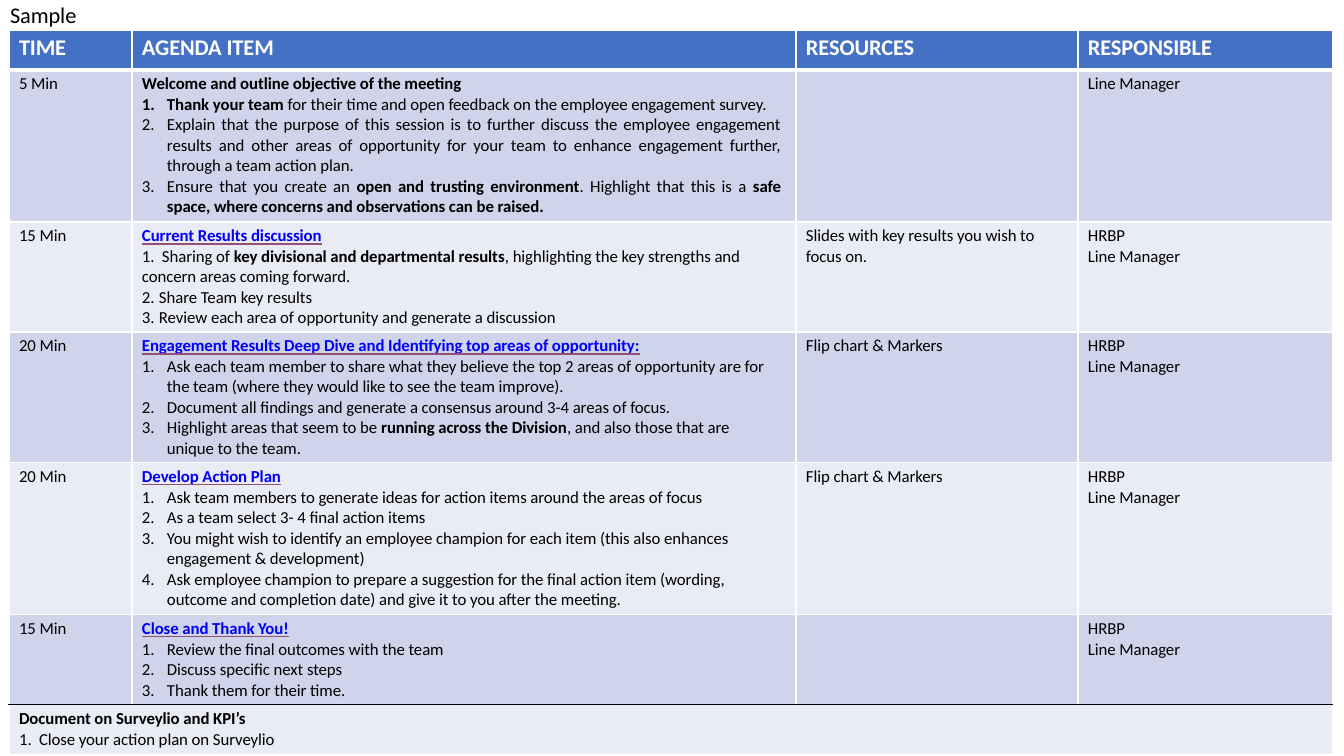
from lxml.etree import SubElement
from pptx import Presentation
from pptx.dml.color import RGBColor
from pptx.enum.text import MSO_ANCHOR, MSO_AUTO_SIZE, PP_ALIGN
from pptx.oxml.ns import qn
from pptx.util import Pt

PX = 9071.43
FONT = "Calibri"
TITLE = "Sample"
COLUMNS = [123, 664, 282, 255]
ROW_HEIGHTS = [40, 152, 110, 131, 152, 90, 50]
BLUE, DARK_BAND, LIGHT_BAND = "4471C4", "CFD4EA", "E9EBF5"
BLACK, WHITE, LINK, LINK_LINE = "000000", "FFFFFF", "0000FF", "954F72"

INDENTS = {
    "plain": (10, 0, 10),
    "link": (10, 0, 10),
    "lead": (10, 0, 15),
    "justified": (35, -25, 15),
    "list": (35, -25, 10),
    "short": (35, -25, 50),
    "tight": (30, -20, 10),
    "near": (27, -17, 10),
    "more": (35, 0, 10),
}
NUMBERED = ("justified", "list", "short", "tight", "near")

HEADER = ["TIME", "AGENDA ITEM", "RESOURCES", "RESPONSIBLE"]
PARTNERS = ["HRBP", "Line Manager"]
AGENDA = [
    ("5 Min", [
        ("lead", "**Welcome and outline objective of the meeting**"),
        ("justified", "**Thank your team **for their time and open feedback on the "
                      "employee engagement survey."),
        ("justified", "Explain that the purpose of this session is to further discuss the "
                      "employee engagement results and other areas of opportunity for your "
                      "team to enhance engagement further, through a team action plan."),
        ("justified", "Ensure that you create an **open and trusting environment**. "
                      "Highlight that this is a **safe space, where concerns and "
                      "observations can be raised.**"),
    ], "", ["Line Manager"]),
    ("15 Min", [
        ("link", "**Current Results discussion**"),
        ("tight", "Sharing of **key divisional and departmental results**, highlighting "
                  "the key strengths and"),
        ("plain", "concern areas coming forward."),
        ("near", "Share Team key results"),
        ("near", "Review each area of opportunity and generate a discussion"),
    ], "Slides with key results you wish to focus on.", PARTNERS),
    ("20 Min", [
        ("link", "**Engagement Results Deep Dive and Identifying top areas of opportunity:**"),
        ("list", "Ask each team member to share what they believe the top 2 areas of "
                 "opportunity are for the team (where they would like to see the team improve)."),
        ("list", "Document all findings and generate a consensus around 3-4 areas of focus."),
        ("short", "Highlight areas that seem to be **running across the Division**, "
                  "and also those that are unique to the team."),
    ], "Flip chart & Markers", PARTNERS),
    ("20 Min", [
        ("link", "**Develop Action Plan**"),
        ("list", "Ask team members to generate ideas for action items around the areas of focus"),
        ("list", "As a team select 3- 4 final action items"),
        ("list", "You might wish to identify an employee champion for each item "
                 "(this also enhances"),
        ("more", "engagement & development)"),
        ("list", "Ask employee champion to prepare a suggestion for the final action item "
                 "(wording, outcome and completion date) and give it to you after the meeting."),
    ], "Flip chart & Markers", PARTNERS),
    ("15 Min", [
        ("link", "**Close and Thank You!**"),
        ("list", "Review the final outcomes with the team"),
        ("list", "Discuss specific next steps"),
        ("list", "Thank them for their time."),
    ], "", PARTNERS),
]
CLOSING = [
    ("plain", "**Document on Surveylio and KPI’s**"),
    ("tight", "Close your action plan on Surveylio"),
]


def px(length):
    return round(length * PX)


def color(value):
    return RGBColor.from_string(value)


def plain(lines):
    return [("plain", line) for line in lines if line]


def format_span(span, size, ink, bold=False):
    span.font.name = FONT
    span.font.size = Pt(size)
    span.font.bold = bold
    span.font.color.rgb = color(ink)
    span.font._element.set("spc", "-5")


def underline_link(span):
    span.font.underline = True
    properties = span.font._element
    line = properties.makeelement(qn("a:uFill"), {})
    fill = SubElement(line, qn("a:solidFill"))
    SubElement(fill, qn("a:srgbClr"), val=LINK_LINE)
    properties.find(qn("a:solidFill")).addnext(line)


def add_border(cell, side, ink, points):
    line = SubElement(cell._tc.get_or_add_tcPr(), qn("a:ln" + side), w=str(Pt(points)))
    fill = SubElement(line, qn("a:solidFill"))
    SubElement(fill, qn("a:srgbClr"), val=ink)


def style_cell(cell, fill, top=(WHITE, 1), bottom=(WHITE, 1)):
    cell.margin_left = cell.margin_right = cell.margin_bottom = 0
    cell.margin_top = px(4)
    cell.vertical_anchor = MSO_ANCHOR.TOP
    for side, border in zip("LRTB", ((WHITE, 1), (WHITE, 1), top, bottom)):
        add_border(cell, side, *border)
    cell.fill.solid()
    cell.fill.fore_color.rgb = color(fill)


def write_cell(cell, lines, size=12, ink=BLACK):
    count, start, previous = 0, 1, None
    for index, (kind, text) in enumerate(lines):
        para = cell.text_frame.paragraphs[0] if index == 0 else cell.text_frame.add_paragraph()
        para.space_before = Pt(3 if index == 0 else 0)
        para.alignment = PP_ALIGN.JUSTIFY if kind in ("lead", "justified") else PP_ALIGN.LEFT
        properties = para._p.get_or_add_pPr()
        for name, length in zip(("marL", "indent", "marR"), INDENTS[kind]):
            properties.set(name, str(px(length)))
        if kind in NUMBERED:
            count += 1
            start = start if previous in NUMBERED else count
            bullet = SubElement(properties, qn("a:buAutoNum"), type="arabicPeriod")
            if start > 1:
                bullet.set("startAt", str(start))
        for part, words in enumerate(text.split("**")):
            if words:
                span = para.add_run()
                span.text = words
                format_span(span, size, LINK if kind == "link" else ink, part % 2 == 1)
                if kind == "link":
                    underline_link(span)
        previous = kind


def add_title(page):
    title = page.shapes.title
    title.left, title.top, title.width, title.height = px(9), 0, px(139), px(29)
    frame = title.text_frame
    frame.text = TITLE
    frame.word_wrap = True
    frame.auto_size = MSO_AUTO_SIZE.NONE
    frame.vertical_anchor = MSO_ANCHOR.TOP
    frame.margin_left = frame.margin_top = frame.margin_right = frame.margin_bottom = px(1)
    para = frame.paragraphs[0]
    para.alignment = PP_ALIGN.LEFT
    format_span(para.runs[0], 16, BLACK)


def add_agenda(page):
    table = page.shapes.add_table(len(ROW_HEIGHTS), len(COLUMNS), px(9), px(30),
                                  px(sum(COLUMNS)), px(sum(ROW_HEIGHTS))).table
    table.first_row = table.horz_banding = False
    for column, width in zip(table.columns, COLUMNS):
        column.width = px(width)
    for row, height in zip(table.rows, ROW_HEIGHTS):
        row.height = px(height)
    last = len(ROW_HEIGHTS) - 1
    table.cell(last, 0).merge(table.cell(last, len(COLUMNS) - 1))
    edges = {1: (WHITE, 3), last: (BLACK, 1)}
    for index, row in enumerate(table.rows):
        fill = BLUE if index == 0 else DARK_BAND if index % 2 else LIGHT_BAND
        for cell in row.cells:
            style_cell(cell, fill, edges.get(index, (WHITE, 1)), edges.get(index + 1, (WHITE, 1)))
    for cell, heading in zip(table.rows[0].cells, HEADER):
        write_cell(cell, plain([f"**{heading}**"]), 16, WHITE)
    for index, (time, items, resource, people) in enumerate(AGENDA, 1):
        contents = [plain([time]), items, plain([resource]), plain(people)]
        for cell, lines in zip(table.rows[index].cells, contents):
            write_cell(cell, lines)
    write_cell(table.cell(last, 0), CLOSING)


def main():
    """Build the meeting agenda slide."""
    deck = Presentation()
    deck.slide_width, deck.slide_height = px(1344), px(756)
    page = deck.slides.add_slide(deck.slide_layouts[5])
    add_title(page)
    add_agenda(page)
    deck.save("out.pptx")


if __name__ == "__main__":
    main()
